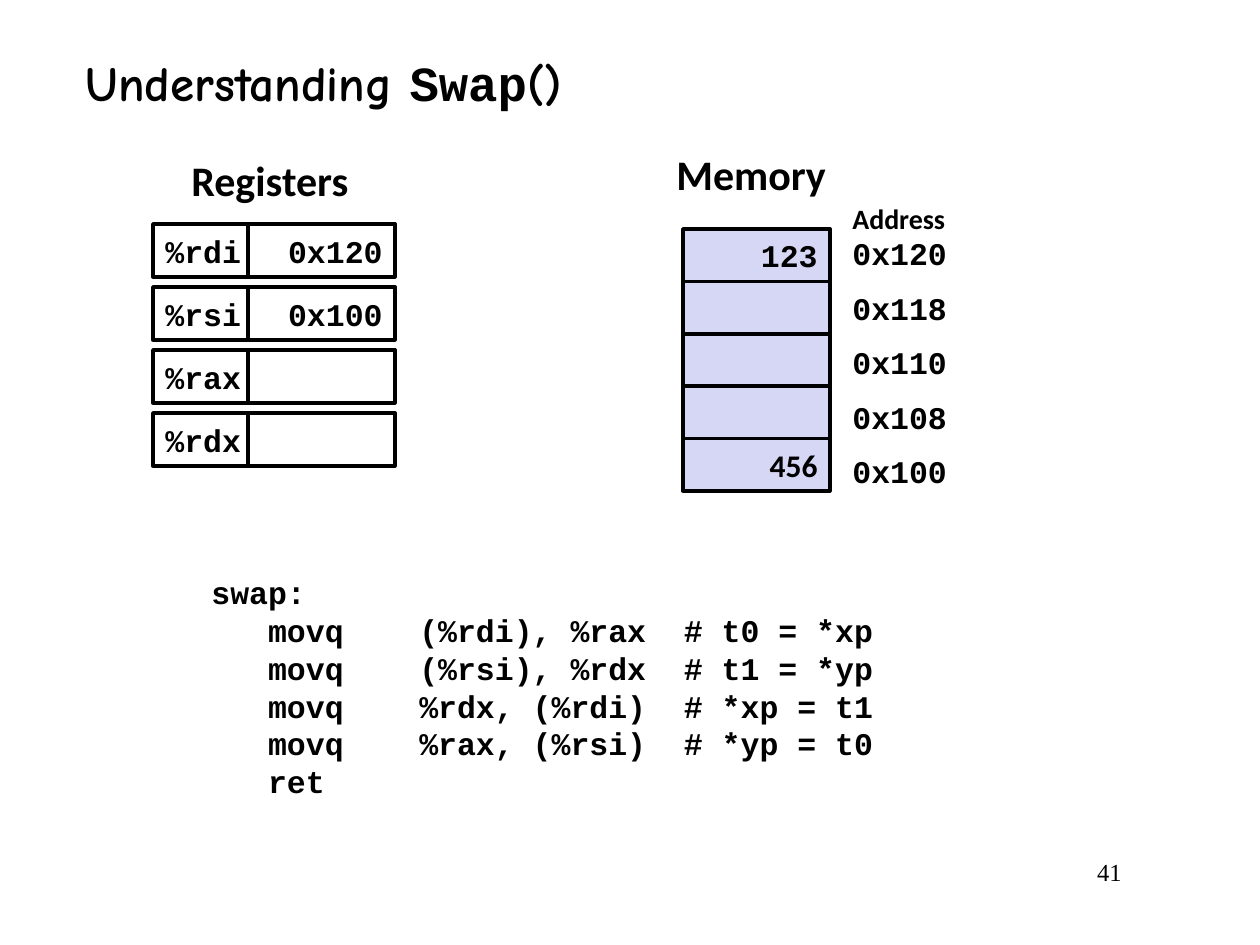
from pptx import Presentation
from pptx.dml.color import RGBColor
from pptx.enum.shapes import MSO_SHAPE
from pptx.enum.text import MSO_ANCHOR, MSO_AUTO_SIZE, PP_ALIGN
from pptx.util import Emu, Pt

PX_PER_INCH = 126
MONO, SANS, SERIF, COMIC = "Courier New", "Calibri", "Times New Roman", "Comic Neue"
BLACK, WHITE, LAVENDER = "000000", "FFFFFF", "D6D6F5"

CODE = """swap:
   movq    (%rdi), %rax  # t0 = *xp
   movq    (%rsi), %rdx  # t1 = *yp
   movq    %rdx, (%rdi)  # *xp = t1
   movq    %rax, (%rsi)  # *yp = t0
   ret"""


def px(value):
    return Emu(round(value * 914400 / PX_PER_INCH))


def color(hex_string):
    return RGBColor.from_string(hex_string)


def add_run(paragraph, text, font=MONO, size=18, bold=True):
    run = paragraph.add_run()
    run.text = text
    run.font.name = font
    run.font.size = Pt(size)
    run.font.bold = bold
    run.font.color.rgb = color(BLACK)


def write_text(frame, text, align=PP_ALIGN.LEFT, anchor=MSO_ANCHOR.TOP, wrap=True, **font_format):
    frame.word_wrap = wrap
    frame.vertical_anchor = anchor
    for index, line in enumerate(text.split("\n")):
        paragraph = frame.add_paragraph() if index else frame.paragraphs[0]
        paragraph.alignment = align
        add_run(paragraph, line, **font_format)


def add_label(shapes, left, top, width, height, text, **text_format):
    box = shapes.add_textbox(px(left), px(top), px(width), px(height))
    write_text(box.text_frame, text, **text_format)


def add_cell(shapes, left, top, width, height, text="", fill=WHITE, **text_format):
    cell = shapes.add_shape(MSO_SHAPE.RECTANGLE, px(left), px(top), px(width), px(height))
    cell.shadow.inherit = False
    cell.fill.solid()
    cell.fill.fore_color.rgb = color(fill)
    cell.line.color.rgb = color(BLACK)
    cell.line.width = Pt(2)
    if text:
        write_text(cell.text_frame, text, anchor=MSO_ANCHOR.MIDDLE, wrap=False, **text_format)


def add_title(slide, left, top, width, height):
    title = slide.shapes.title
    title.left, title.top, title.width, title.height = map(px, (left, top, width, height))
    frame = title.text_frame
    frame.auto_size = MSO_AUTO_SIZE.NONE
    frame.vertical_anchor = MSO_ANCHOR.MIDDLE
    paragraph = frame.paragraphs[0]
    paragraph.alignment = PP_ALIGN.LEFT
    for text, font in (("Understanding ", COMIC), ("Swap", MONO), ("()", COMIC)):
        add_run(paragraph, text, font=font, size=28)


def add_registers(slide, left, top):
    add_label(slide.shapes, left + 26, top, 186, 63, "Registers", font=SANS, size=24, wrap=False)
    group = slide.shapes.add_group_shape()
    registers = (("%rdi", "0x120"), ("%rsi", "0x100"), ("%rax", ""), ("%rdx", ""))
    for row, (name, value) in enumerate(registers):
        row_top = top + 76 + 63 * row
        add_cell(group.shapes, left, row_top, 95, 53, name)
        add_cell(group.shapes, left + 95, row_top, 147, 53, value, align=PP_ALIGN.RIGHT)


def add_memory(slide, left, top):
    add_label(slide.shapes, left - 19, top, 176, 63, "Memory", font=SANS, size=24, wrap=False)

    # Stacked cells, five sharing one height
    cells_top, cells_height = top + 87, 262
    contents = (("123", MONO), ("", MONO), ("", MONO), ("", MONO), ("456", SANS))
    cell_height = cells_height / len(contents)
    for row, (value, font) in enumerate(contents):
        add_cell(slide.shapes, left, cells_top + row * cell_height, 147, cell_height, value,
                 fill=LAVENDER, align=PP_ALIGN.RIGHT, font=font)

    # Address column, counting down by 8 bytes
    group = slide.shapes.add_group_shape()
    for row, address in enumerate(range(0x120, 0xF8, -8)):
        add_label(group.shapes, left + 157, top + 86 + 54.5 * row, 168, 51, f"{address:#x}")
    add_label(group.shapes, left + 157, top + 53, 168, 46, "Address", font=SANS, size=16)


def main():
    presentation = Presentation()
    presentation.slide_width = px(10 * PX_PER_INCH)
    presentation.slide_height = px(7.5 * PX_PER_INCH)
    slide = presentation.slides.add_slide(presentation.slide_layouts[5])

    add_title(slide, 73, 42, 878, 79)
    add_registers(slide, 153, 148)
    add_memory(slide, 683, 142)
    # Assembly listing
    add_label(slide.shapes, 199, 567, 809, 242, CODE)
    # Slide number
    add_label(slide.shapes, 955, 851, 179, 63, "41", align=PP_ALIGN.RIGHT,
              font=SERIF, size=14, bold=False)
    presentation.save("out.pptx")


if __name__ == "__main__":
    main()
